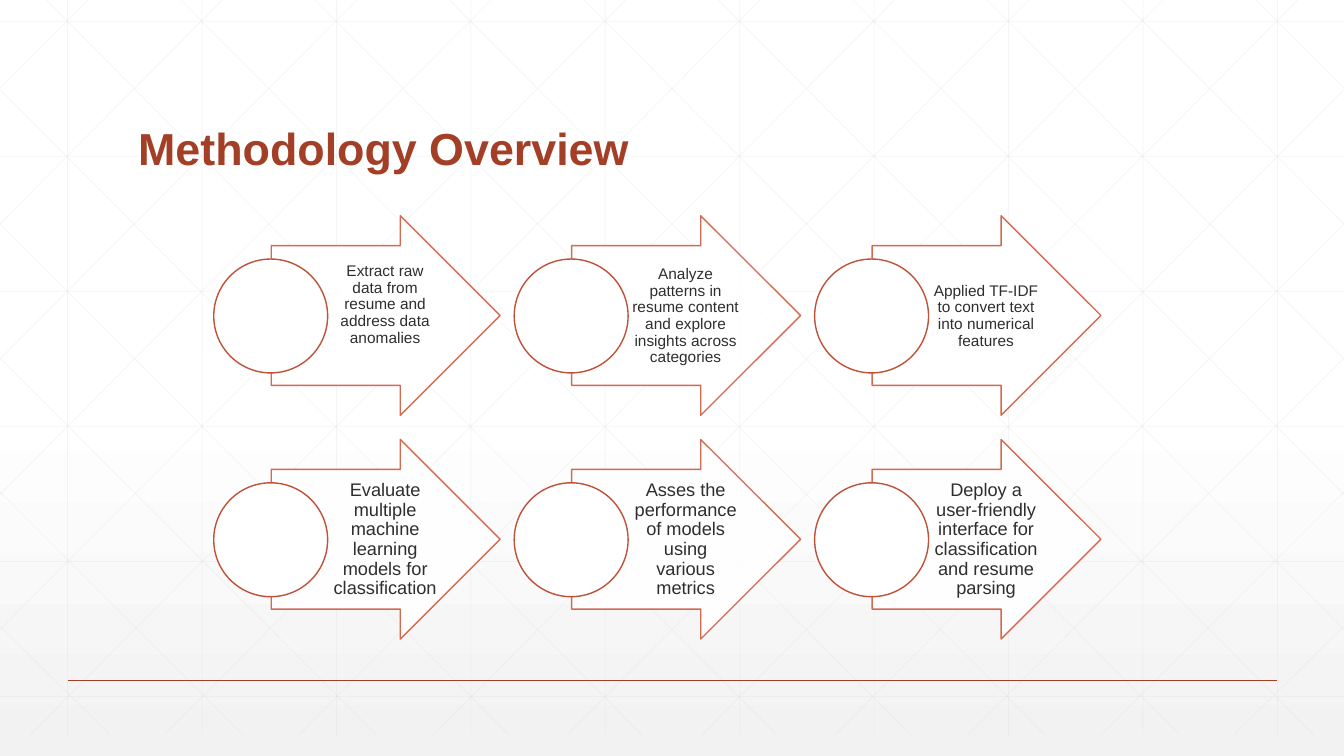
from copy import deepcopy

from lxml import etree
from pptx import Presentation
from pptx.dml.color import RGBColor
from pptx.enum.shapes import MSO_CONNECTOR, MSO_SHAPE
from pptx.enum.text import MSO_ANCHOR, MSO_AUTO_SIZE, PP_ALIGN
from pptx.oxml.ns import qn
from pptx.util import Inches, Pt

WHITE = RGBColor(0xFF, 0xFF, 0xFF)
PALE = RGBColor(0xF2, 0xF2, 0xF2)
GRID = RGBColor(0xD9, 0xD9, 0xD9)
RUST = RGBColor(0xA4, 0x3F, 0x27)
CORAL = RGBColor(0xD1, 0x5A, 0x3E)
BRICK = RGBColor(0xBE, 0x52, 0x38)
INK = RGBColor(0x2D, 0x2E, 0x2D)

STRAIGHT = MSO_CONNECTOR.STRAIGHT
ARROW, OVAL = MSO_SHAPE.RIGHT_ARROW, MSO_SHAPE.OVAL
MIDDLE, BOTTOM = MSO_ANCHOR.MIDDLE, MSO_ANCHOR.BOTTOM
LEFT, CENTER = PP_ALIGN.LEFT, PP_ALIGN.CENTER
FIXED = MSO_AUTO_SIZE.NONE

WIDE, HIGH = 13.33, 7.5
TOP, LOW = -0.21, 7.29
CELL = 4 / 3

ROWS = [
    (2.14, 11, [
        ("Extract raw data from resume and address data anomalies", 0.23),
        ("Analyze patterns in resume content and explore insights across categories", 0.01),
        ("Applied TF-IDF to convert text into numerical features", 0.01),
    ]),
    (4.36, 13, [
        ("Evaluate multiple machine learning models for classification", 0.01),
        ("Asses the performance of models using various metrics", 0.01),
        ("Deploy a user-friendly interface for classification and resume parsing", 0.01),
    ]),
]


def assign(item, values):
    for name, value in values.items():
        setattr(item, name, value)


def fade(part, share):
    for color in part.iter(qn("a:srgbClr")):
        etree.SubElement(color, qn("a:alpha")).set("val", str(share * 1000))


class Page:
    font = "Arial"

    def __init__(self, deck):
        self.slide = deck.slides.add_slide(deck.slide_layouts[5])
        self.shapes = self.slide.shapes

    def backdrop(self):
        fill = self.slide.background.fill
        fill.gradient()
        fill.gradient_angle = 270
        for stop, place, color in zip(fill.gradient_stops, (0.53, 1), (WHITE, PALE)):
            stop.position = place
            stop.color.rgb = color
        stops = self.slide.element.find(".//" + qn("a:gsLst"))
        first = deepcopy(stops[0])
        first.set("pos", "0")
        stops.insert(0, first)

    def line(self, home, start, end, color, width, share=100):
        link = home.add_connector(STRAIGHT, *map(Inches, start + end))
        link.line.color.rgb = color
        link.line.width = Pt(width)
        props = link.element.spPr
        etree.SubElement(props, qn("a:effectLst"))
        if share < 100:
            fade(props, share)

    def shape(self, kind, box, color, share=100):
        shape = self.shapes.add_shape(kind, *map(Inches, box))
        shape.shadow.inherit = False
        shape.fill.solid()
        shape.fill.fore_color.rgb = WHITE
        shape.line.color.rgb = color
        shape.line.width = Pt(1)
        if share < 100:
            fade(shape.element.spPr, share)
        return shape

    def label(self, shape, words, frame, para, size, color, bold=False):
        text = shape.text_frame
        text.text = words
        assign(text, {"word_wrap": True, "auto_size": FIXED, **frame})
        line = text.paragraphs[0]
        assign(line, {"line_spacing": 0.9, **para})
        font = line.runs[0].font
        assign(font, {"name": self.font, "size": Pt(size), "bold": bold})
        font.color.rgb = color

    def title(self, words, box):
        title = self.shapes.title
        sides = ("left", "top", "width", "height")
        assign(title, dict(zip(sides, map(Inches, box))))
        self.label(title, words, {"vertical_anchor": BOTTOM},
                   {"alignment": LEFT}, 32, RUST, True)
        self.shapes.element.append(title.element)

    def grid(self):
        lines = []
        for i in range(10):
            x = 0.67 + CELL * i
            lines.append(((x, TOP), (x, LOW)))
        for i in range(6):
            y = 0.21 + 1.34 * i
            lines.append(((0, y), (WIDE, y)))
        slants = []
        for i in range(10):
            x = 0.25 + CELL * i
            run = min(7.45, WIDE - x)
            slants.append(((x, TOP), (x + run, TOP + run * 7.5 / 7.45)))
        for i in range(5):
            slants.append(((6.96 + 1.32 * i, LOW), (WIDE, 0.89 + 1.33 * i)))
        for (x, y), (u, v) in slants:
            lines += [((x, y), (u, v)), ((WIDE - x, y), (WIDE - u, v))]
        group = self.shapes.add_group_shape()
        for start, end in lines:
            self.line(group.shapes, start, end, GRID, 0.5, 25)

    def step(self, x, y, words, size, foot):
        arrow = self.shape(ARROW, (x, y, 2.27, 1.98), CORAL, 90)
        arrow.adjustments[0] = 0.7
        arrow.adjustments[1] = 0.5
        box = self.shapes.add_textbox(*map(Inches, (x + 0.57, y + 0.3, 1.11, 1.39)))
        frame = {
            "vertical_anchor": MIDDLE,
            "margin_left": Inches(0.03),
            "margin_top": Inches(0.01),
            "margin_right": Inches(0.02),
            "margin_bottom": Inches(foot),
        }
        self.label(box, words, frame, {"alignment": CENTER}, size, INK)
        self.shape(OVAL, (x - 0.57, y + 0.43, 1.13, 1.13), BRICK)


def main():
    deck = Presentation()
    deck.slide_width, deck.slide_height = Inches(WIDE), Inches(HIGH)
    page = Page(deck)
    page.backdrop()
    page.grid()
    page.line(page.shapes, (0.67, 6.75), (12.67, 6.75), RUST, 1)
    page.title("Methodology Overview", (1.27, 0.54, 10.5, 1.25))
    for y, size, steps in ROWS:
        for i, (words, foot) in enumerate(steps):
            page.step(2.69 + 2.98 * i, y, words, size, foot)
    deck.save("out.pptx")


if __name__ == "__main__":
    main()
